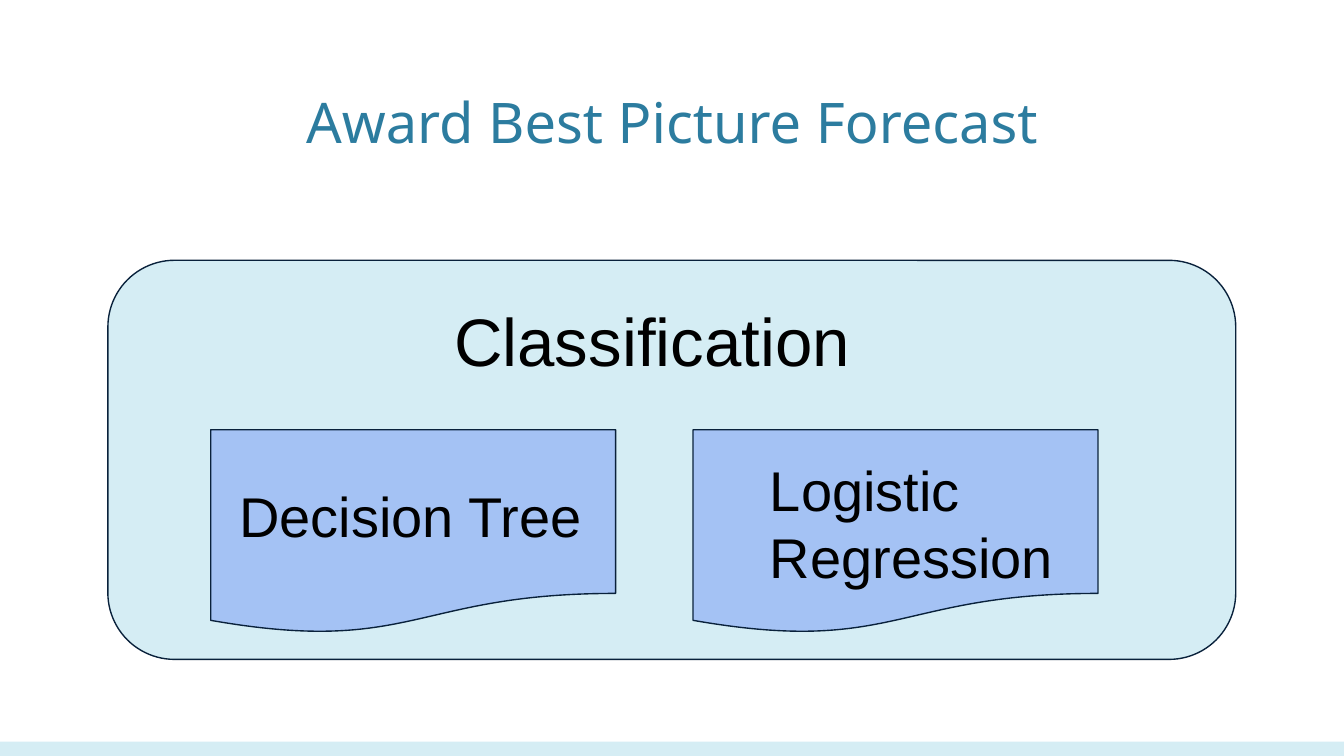
"""Build a slide on the classification models behind a Best Picture forecast."""
from pptx import Presentation
from pptx.dml.color import RGBColor
from pptx.enum.shapes import MSO_SHAPE
from pptx.enum.text import MSO_ANCHOR, PP_ALIGN
from pptx.util import Pt

PALE = RGBColor(0xD5, 0xED, 0xF4)
BLUE = RGBColor(0xA4, 0xC2, 0xF4)
NAVY = RGBColor(0x09, 0x21, 0x3B)
TEAL = RGBColor(0x2C, 0x7C, 0x9F)
BLACK = RGBColor(0, 0, 0)

prs = Presentation()
prs.slide_width, prs.slide_height = Pt(720), Pt(405)
s = prs.slides.add_slide(prs.slide_layouts[6])


def add_text(text, box, size, font="Arial", color=BLACK, align=PP_ALIGN.LEFT, anchor=MSO_ANCHOR.TOP):
    tf = s.shapes.add_textbox(*map(Pt, box)).text_frame
    tf.word_wrap = True
    tf.vertical_anchor = anchor
    tf.margin_left = tf.margin_right = tf.margin_top = tf.margin_bottom = Pt(7.2)
    p = tf.paragraphs[0]
    p.alignment = align
    r = p.add_run()
    r.text = text
    r.font.name, r.font.size, r.font.color.rgb = font, Pt(size), color


def add_panel(kind, box, fill, line=None):
    sp = s.shapes.add_shape(kind, *map(Pt, box))
    sp.shadow.inherit = False
    sp.fill.solid()
    sp.fill.fore_color.rgb = fill
    if line is None:
        sp.line.fill.background()
    else:
        sp.line.color.rgb = line
        sp.line.width = Pt(0.75)
    return sp


add_panel(MSO_SHAPE.RECTANGLE, (0, 397.4, 720, 7.6), PALE)
add_text("Award Best Picture Forecast", (24.5, 25.2, 671, 65), 30, font="Noto Sans",
         color=TEAL, align=PP_ALIGN.CENTER, anchor=MSO_ANCHOR.BOTTOM)

group = add_panel(MSO_SHAPE.ROUNDED_RECTANGLE, (57.8, 139.5, 604.2, 213.8), PALE, NAVY)
group.adjustments[0] = 0.167
add_text("Classification", (236.2, 153.4, 247, 57.6), 36)

models = [
    ("Decision Tree", 112.9, 121, 250.6),
    ("Logistic Regression", 371.3, 405.4, 236.9),
]
for name, left, text_left, text_top in models:
    add_panel(MSO_SHAPE.FLOWCHART_DOCUMENT, (left, 230.2, 216.9, 109.4), BLUE, NAVY)
    add_text(name, (text_left, text_top, 226.8, 57.6), 30)

prs.save("out.pptx")
